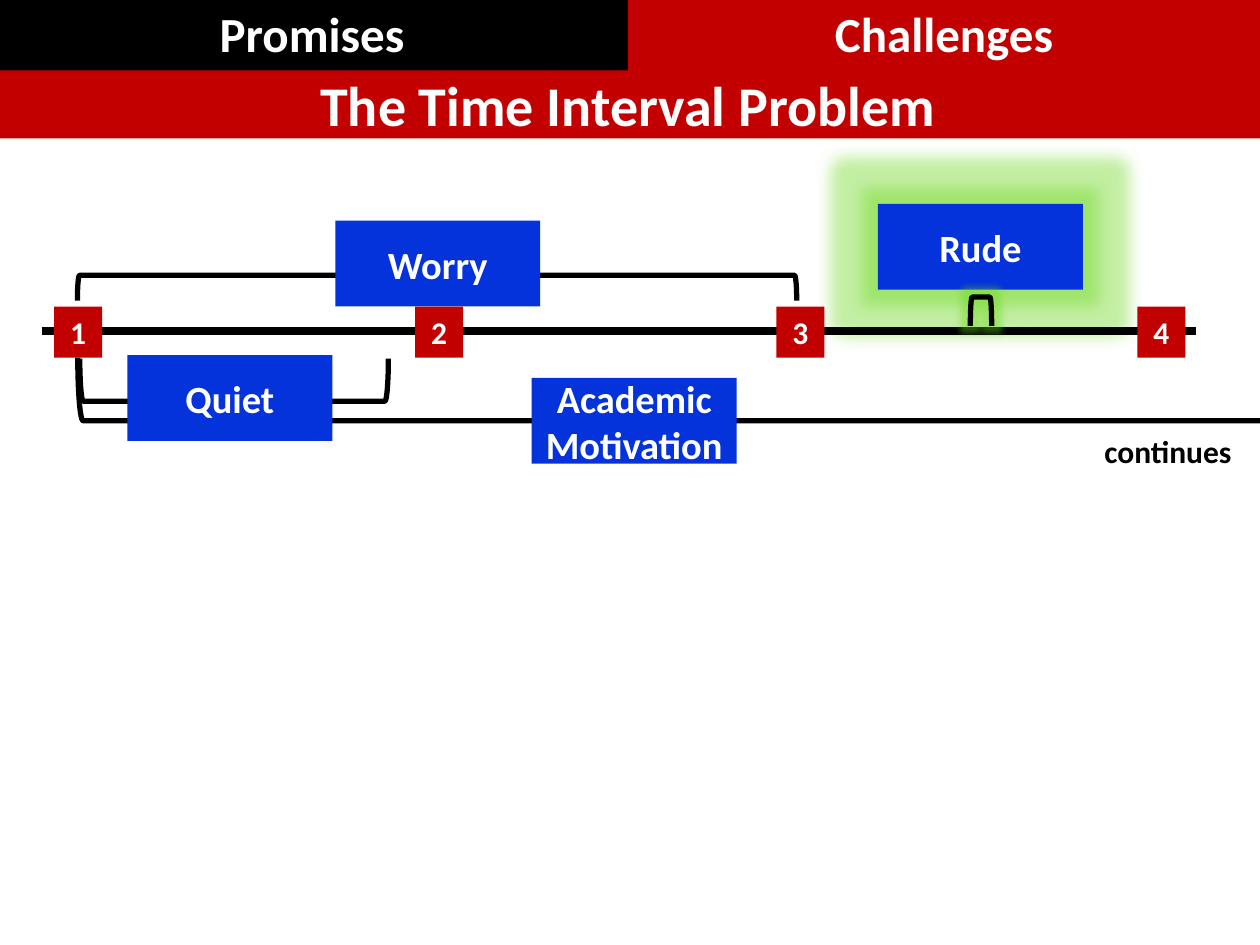
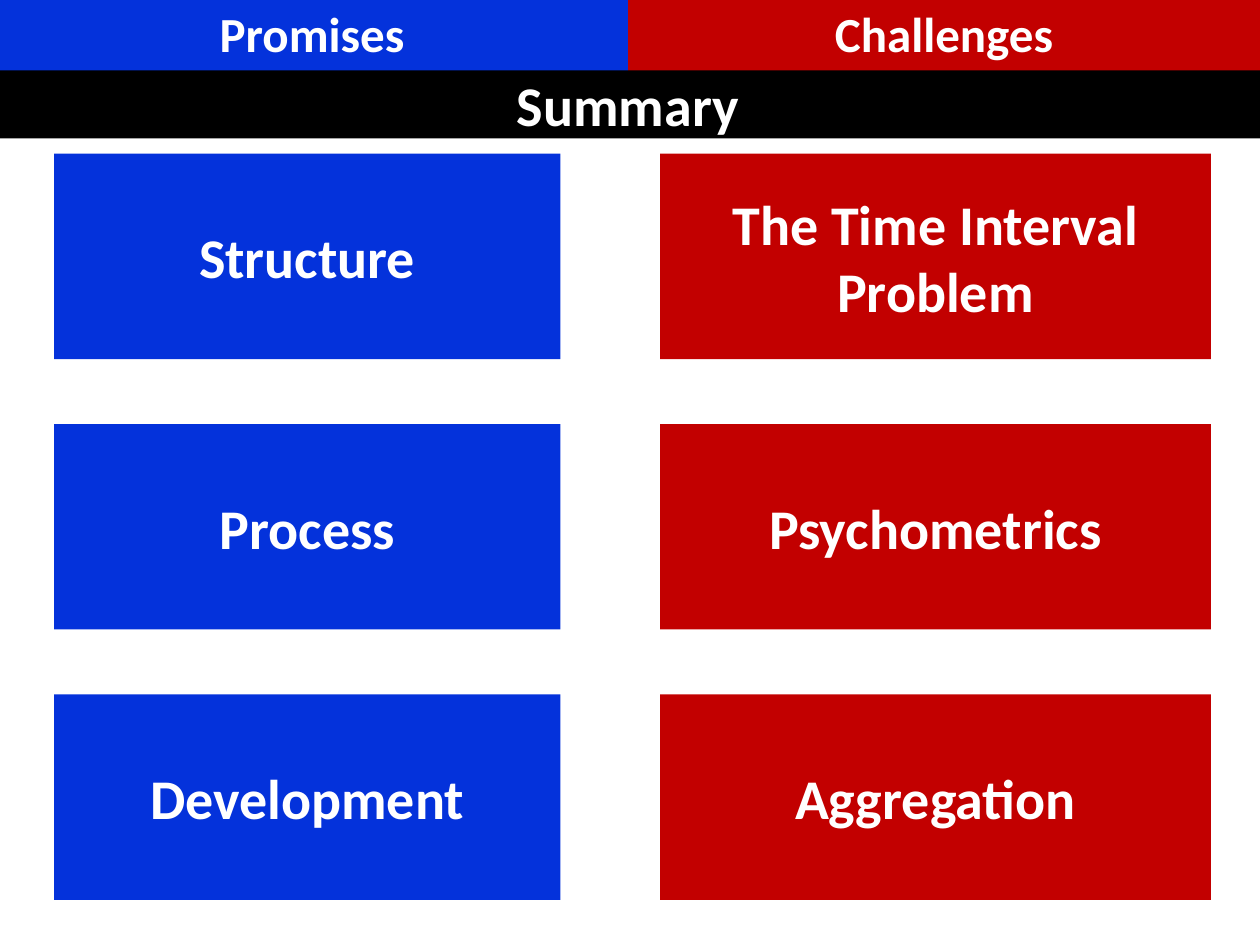
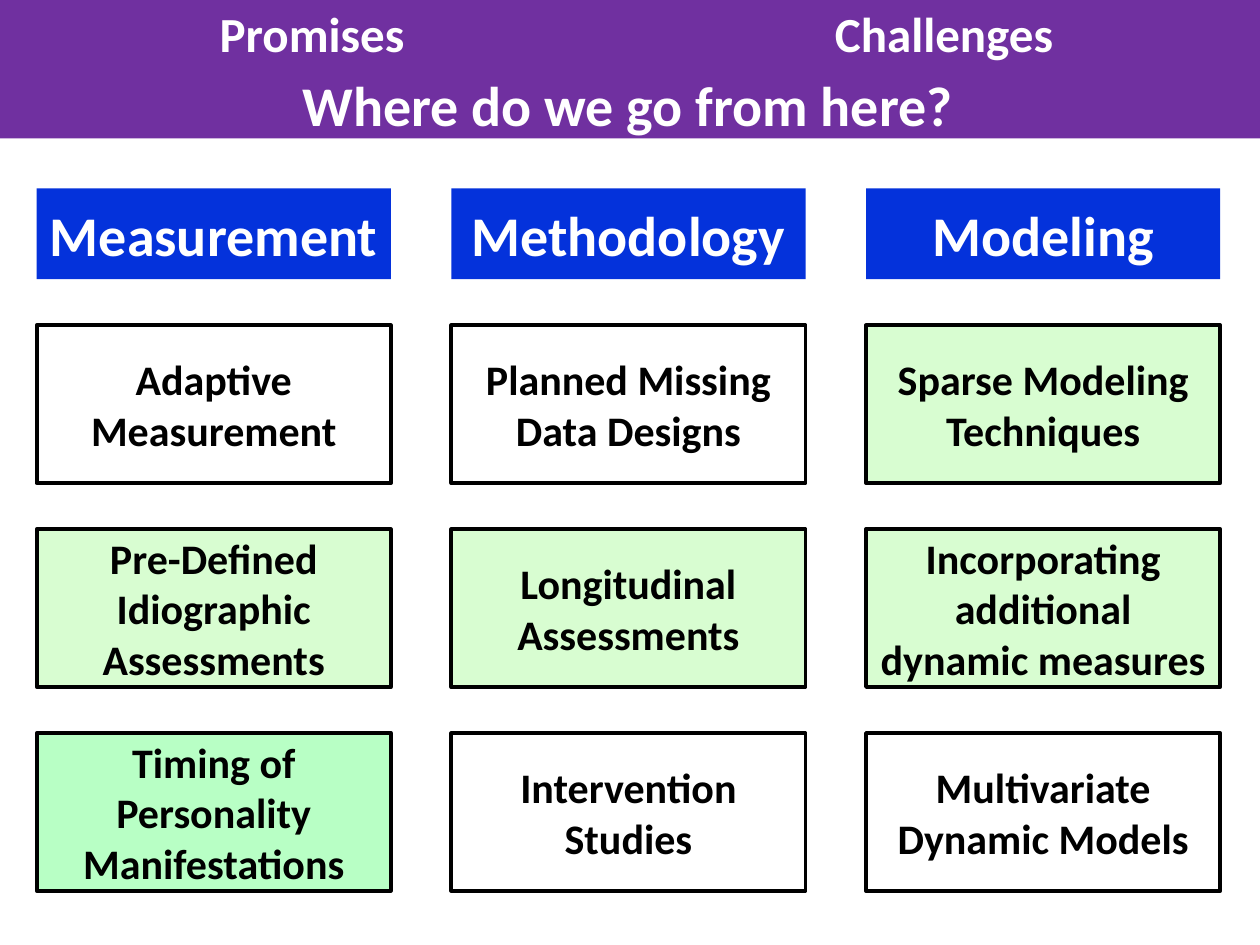
import dataclasses

import lxml.etree
import pptx
import pptx.dml.color
import pptx.enum.shapes
import pptx.enum.text
import pptx.oxml.ns
import pptx.util

Cm = pptx.util.Cm
Pt = pptx.util.Pt
qn = pptx.oxml.ns.qn
Preset = pptx.enum.shapes.MSO_SHAPE


@dataclasses.dataclass(frozen=True)
class Theme:
    font: str = "Calibri"
    black: str = "000000"
    white: str = "FFFFFF"
    blue: str = "0432DB"
    red: str = "C20000"
    purple: str = "7030A0"
    pale_green: str = "D8FDD1"
    bright_green: str = "00FF31"
    glow: str = "69D719"
    heading: int = 32
    tab: int = 28
    card: int = 24
    event: int = 22
    label: int = 18
    axis_width: float = 4.5
    bracket_width: float = 3
    card_border: float = 2.25
    no_grid: str = "{2D5ABB26-0587-4C30-8999-92F81FD0307C}"


def rgb(code):
    return pptx.dml.color.RGBColor.from_string(code)


def set_text(frame, text, *, size, color, font, bold=True):
    frame.word_wrap = True
    paragraph = frame.paragraphs[0]
    paragraph.alignment = pptx.enum.text.PP_ALIGN.CENTER
    run = paragraph.add_run()
    run.text = text
    run.font.name = font
    run.font.size = Pt(size)
    run.font.bold = bold
    run.font.color.rgb = rgb(color)


def set_alpha(color_element, percent):
    alpha = lxml.etree.SubElement(color_element, qn("a:alpha"))
    alpha.set("val", str(percent * 1000))


class Deck:
    def __init__(self, theme):
        self.theme = theme
        self.presentation = pptx.Presentation()
        self.presentation.slide_width = Cm(25.4)
        self.presentation.slide_height = Cm(19.05)
        self.slide = None

    def start_slide(self):
        layout = self.presentation.slide_layouts[5]
        self.slide = self.presentation.slides.add_slide(layout)

    def label(self, frame, text, size, color):
        set_text(frame, text, size=size, color=color, font=self.theme.font)

    def tabs(self, promises_fill, challenges_fill):
        frame = self.slide.shapes.add_table(1, 2, Cm(-0.08), Cm(-0.05), Cm(25.48), Cm(1.55))
        next(frame.element.iter(qn("a:tableStyleId"))).text = self.theme.no_grid
        frame.table.first_row = False
        frame.table.horz_banding = False
        labels = (("Promises", promises_fill), ("Challenges", challenges_fill))
        for column, (text, fill) in enumerate(labels):
            cell = frame.table.cell(0, column)
            cell.fill.solid()
            cell.fill.fore_color.rgb = rgb(fill)
            cell.vertical_anchor = pptx.enum.text.MSO_ANCHOR.MIDDLE
            self.label(cell.text_frame, text, self.theme.tab, self.theme.white)

    def title(self, text, fill):
        band = self.slide.shapes.title
        band.left, band.top, band.width, band.height = Cm(-0.08), Cm(1.42), Cm(25.48), Cm(1.37)
        band.fill.solid()
        band.fill.fore_color.rgb = rgb(fill)
        band.text_frame.auto_size = pptx.enum.text.MSO_AUTO_SIZE.NONE
        band.text_frame.vertical_anchor = pptx.enum.text.MSO_ANCHOR.MIDDLE
        self.label(band.text_frame, text, self.theme.heading, self.theme.white)
        band.element.getparent().append(band.element)

    def box(self, text, left, top, width, height, size, fill=None, color=None,
            border=None, opacity=None):
        box = self.slide.shapes.add_shape(
            Preset.RECTANGLE, Cm(left), Cm(top), Cm(width), Cm(height))
        box.shadow.inherit = False
        if fill:
            box.fill.solid()
            box.fill.fore_color.rgb = rgb(fill)
        else:
            box.fill.background()
        if opacity:
            set_alpha(next(box.element.spPr.iter(qn("a:srgbClr"))), opacity)
        if border:
            box.line.color.rgb = rgb(self.theme.black)
            box.line.width = Pt(border)
        else:
            box.line.fill.background()
        box.text_frame.vertical_anchor = pptx.enum.text.MSO_ANCHOR.MIDDLE
        self.label(box.text_frame, text, size, color or self.theme.white)
        return box

    def bracket(self, left, top, span, depth, opens_down):
        shift = (span - depth) / 2
        bracket = self.slide.shapes.add_shape(
            Preset.LEFT_BRACKET, Cm(left + shift), Cm(top - shift), Cm(depth), Cm(span))
        bracket.rotation = 90 if opens_down else 270
        bracket.shadow.inherit = False
        bracket.fill.background()
        bracket.line.color.rgb = rgb(self.theme.black)
        bracket.line.width = Pt(self.theme.bracket_width)
        return bracket

    def glow(self, shape, radius):
        effects = shape.element.spPr.find(qn("a:effectLst"))
        halo = lxml.etree.SubElement(effects, qn("a:glow"), rad=str(Pt(radius)))
        color = lxml.etree.SubElement(halo, qn("a:srgbClr"), val=self.theme.glow)
        set_alpha(color, 40)

    def axis(self, start, end, y):
        axis = self.slide.shapes.add_connector(
            pptx.enum.shapes.MSO_CONNECTOR.STRAIGHT, Cm(start), Cm(y), Cm(end), Cm(y))
        axis.line.color.rgb = rgb(self.theme.black)
        axis.line.width = Pt(self.theme.axis_width)
        lxml.etree.SubElement(axis.element.spPr, qn("a:effectLst"))

    def caption(self, text, left, top, width, height):
        caption = self.slide.shapes.add_textbox(Cm(left), Cm(top), Cm(width), Cm(height))
        self.label(caption.text_frame, text, self.theme.label, self.theme.black)


def time_interval_slide(deck):
    theme = deck.theme

    def event(text, left, top):
        return deck.box(text, left, top, 4.13, 1.73, theme.event, theme.blue)

    deck.start_slide()
    deck.bracket(1.56, 5.55, 14.5, 0.51, opens_down=True)
    deck.bracket(1.57, 7.21, 29.77, 1.27, opens_down=False)
    event("Worry", 6.76, 4.45)
    deck.glow(event("Rude", 17.7, 4.11), 18)
    event("Academic Motivation", 10.72, 7.62)
    deck.tabs(theme.black, theme.red)
    deck.axis(0.84, 24.1, 6.68)
    for wave in range(4):
        deck.box(str(wave + 1), 1.09 + 7.28 * wave, 6.18, 0.97, 1.03, theme.label, theme.red)
    rude_span = deck.bracket(19.56, 5.99, 0.43, 0.58, opens_down=True)
    deck.glow(rude_span, 8)
    deck.caption("continues", 21.92, 8.59, 3.25, 1.02)
    deck.bracket(1.61, 7.23, 6.22, 0.86, opens_down=False)
    event("Quiet", 2.57, 7.16)
    deck.title("The Time Interval Problem", theme.red)


def summary_slide(deck):
    theme = deck.theme
    challenges = ("The Time Interval Problem", "Psychometrics", "Aggregation")
    promises = ("Structure", "Process", "Development")
    deck.start_slide()
    for topics, left, width, fill in ((challenges, 13.31, 11.1, theme.red),
                                      (promises, 1.09, 10.21, theme.blue)):
        for row, topic in enumerate(topics):
            deck.box(topic, left, 3.1 + 5.45 * row, width, 4.14, theme.heading, fill)
    deck.tabs(theme.blue, theme.red)
    deck.title("Summary", theme.black)


def directions_slide(deck):
    theme = deck.theme
    pale = {"fill": theme.pale_green}
    bright = {"fill": theme.bright_green, "opacity": 28}
    plain = {}
    directions = {
        "Measurement": (("Adaptive Measurement", plain),
                        ("Pre-Defined Idiographic Assessments", pale),
                        ("Timing of Personality Manifestations", bright)),
        "Methodology": (("Planned Missing Data Designs", plain),
                        ("Longitudinal Assessments", pale),
                        ("Intervention Studies", plain)),
        "Modeling": (("Sparse Modeling Techniques", pale),
                     ("Incorporating additional dynamic measures", pale),
                     ("Multivariate Dynamic Models", plain)),
    }
    deck.start_slide()
    deck.tabs(theme.purple, theme.purple)
    deck.title("Where do we go from here?", theme.purple)
    for column, (area, steps) in enumerate(directions.items()):
        left = 0.74 + 8.36 * column
        deck.box(area, left, 3.8, 7.14, 1.83, theme.heading, theme.blue)
        for row, (step, emphasis) in enumerate(steps):
            deck.box(step, left, 6.56 + 4.11 * row, 7.14, 3.18, theme.card,
                     color=theme.black, border=theme.card_border, **emphasis)


def main():
    deck = Deck(Theme())
    time_interval_slide(deck)
    summary_slide(deck)
    directions_slide(deck)
    deck.presentation.save("out.pptx")


if __name__ == "__main__":
    main()
